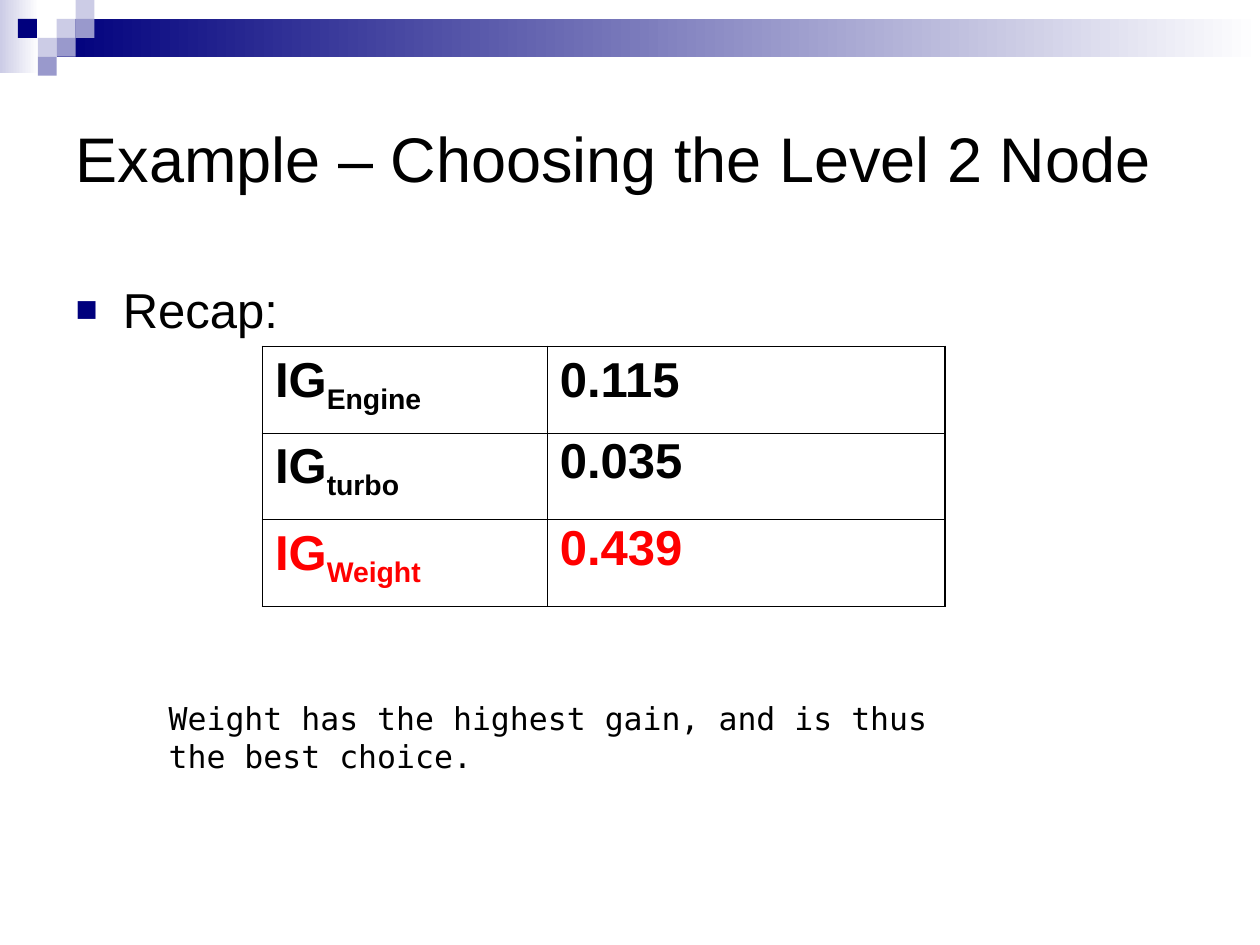
from lxml import etree
from pptx import Presentation
from pptx.dml.color import RGBColor
from pptx.enum.shapes import MSO_SHAPE
from pptx.enum.text import MSO_ANCHOR, MSO_AUTO_SIZE, PP_ALIGN
from pptx.oxml.ns import qn
from pptx.util import Pt

RECT = MSO_SHAPE.RECTANGLE
MIDDLE = MSO_ANCHOR.MIDDLE
TOP = MSO_ANCHOR.TOP
FIXED = MSO_AUTO_SIZE.NONE
LEFT = PP_ALIGN.LEFT

COLORS = {"white": "FFFFFF", "black": "000000", "navy": "00007D",
          "pale": "CCCCE6", "mid": "9999CC", "red": "FF0000"}
SANS, MONO = "Arial", "DejaVu Sans Mono"

TITLE = "Example – Choosing the Level 2 Node"
BULLET = "Recap:"
NOTE = "Weight has the highest gain, and is thus the best choice."
GAINS = [("Engine", "0.115", "black", 1.0),
         ("turbo", "0.035", "black", 0.9),
         ("Weight", "0.439", "red", 0.9)]

UNIT = 10.8
BANDS = [((0, 0, 22.3, 41.8), "pale"),
         ((3 * UNIT, UNIT, 720 - 3 * UNIT, 2 * UNIT), "navy")]
TILES = [(3, 1, "pale"), (4, 0, "pale"), (4, 1, "mid"), (2, 2, "pale"),
         (0.95, 1, "navy"), (3, 2, "mid"), (2, 3, "mid")]
COLS = [162.7, 227.5]
ROW = 49.5
THICK, THIN = 1.08, 0.45


def tint(name):
    return RGBColor.from_string(COLORS[name])


def place(shape, *box):
    shape.left, shape.top, shape.width, shape.height = map(Pt, box)


def style(para, size, color="black", face=SANS, bold=False):
    para.alignment = LEFT
    font = para.font
    font.size, font.name, font.bold = Pt(size), face, bold
    font.color.rgb = tint(color)


def block(slide, box):
    shape = slide.shapes.add_shape(RECT, *map(Pt, box))
    shape.shadow.inherit = False
    shape.line.fill.background()
    return shape.fill


def banner(slide):
    for box, color in BANDS:
        fill = block(slide, box)
        fill.gradient()
        fill.gradient_angle = 180
        for stop, name in zip(fill.gradient_stops, ("white", color)):
            stop.color.rgb = tint(name)
    for col, row, color in TILES:
        fill = block(slide, (col * UNIT, row * UNIT, UNIT, UNIT))
        fill.solid()
        fill.fore_color.rgb = tint(color)


def frame(shape, text, anchor):
    body = shape.text_frame
    body.text = text
    body.word_wrap = True
    body.auto_size = FIXED
    body.vertical_anchor = anchor
    return body.paragraphs[0]


def mark(para):
    props = para._p.get_or_add_pPr()
    props.set("marL", str(Pt(27)))
    props.set("indent", str(-Pt(27)))
    color = etree.SubElement(props, qn("a:buClr"))
    etree.SubElement(color, qn("a:srgbClr"), val=COLORS["navy"])
    etree.SubElement(props, qn("a:buSzPct"), val="75000")
    etree.SubElement(props, qn("a:buFont"), typeface=SANS)
    etree.SubElement(props, qn("a:buChar"), char="■")


def edge(cell, row, col):
    outer = {"lnL": col == 0, "lnR": col == len(COLS) - 1,
             "lnT": row == 0, "lnB": row == len(GAINS) - 1}
    props = cell._tc.get_or_add_tcPr()
    for tag, thick in outer.items():
        line = etree.SubElement(props, qn("a:" + tag),
                                w=str(Pt(THICK if thick else THIN)))
        fill = etree.SubElement(line, qn("a:solidFill"))
        etree.SubElement(fill, qn("a:srgbClr"), val=COLORS["black"])
    cell.fill.background()


def grid(slide):
    box = map(Pt, (150, 198, sum(COLS), ROW * len(GAINS)))
    table = slide.shapes.add_table(len(GAINS), len(COLS), *box).table
    table.first_row = table.horz_banding = False
    for col, width in zip(table.columns, COLS):
        col.width = Pt(width)
    for i, (name, gain, color, space) in enumerate(GAINS):
        table.rows[i].height = Pt(ROW)
        for j, runs in enumerate((("IG", name), (gain,))):
            cell = table.cell(i, j)
            para = cell.text_frame.paragraphs[0]
            para.space_before = Pt(7)
            style(para, 28, color, bold=True)
            for text in runs:
                run = para.add_run()
                run.text = text
                if text == name:
                    run.font._element.set("baseline", "-25000")
            if j == 1:
                para.line_spacing = space
            edge(cell, i, j)


def main():
    deck = Presentation()
    deck.slide_width, deck.slide_height = Pt(720), Pt(540)
    slide = deck.slides.add_slide(deck.slide_layouts[1])
    banner(slide)

    title, body = slide.placeholders
    place(title, 36, 36, 648, 108)
    style(frame(title, TITLE, MIDDLE), 36)

    place(body, 36, 156, 318, 306)
    para = frame(body, BULLET, TOP)
    para.space_before = Pt(7)
    mark(para)
    style(para, 28)

    grid(slide)

    note = slide.shapes.add_textbox(Pt(89.3), Pt(396), Pt(489.6), Pt(50))
    style(frame(note, NOTE, TOP), 18, face=MONO)
    deck.save("out.pptx")


if __name__ == "__main__":
    main()
